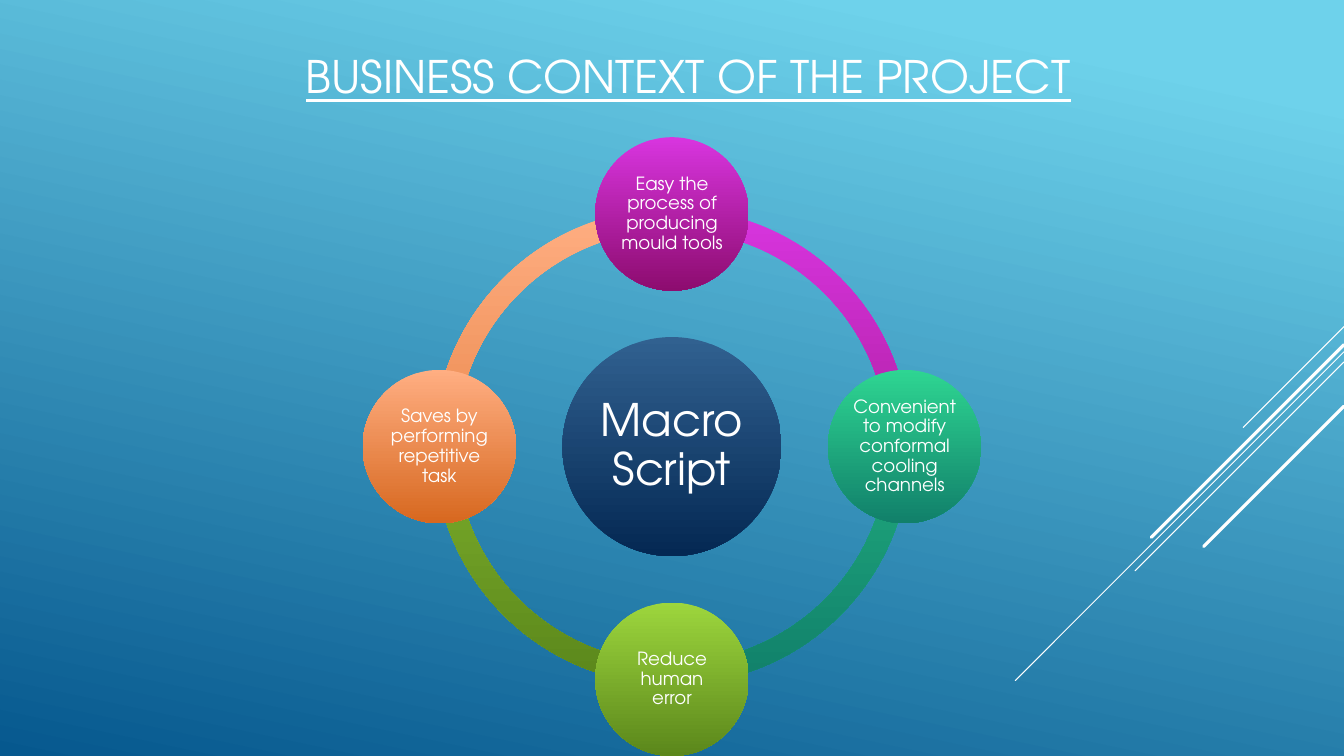
from math import cos, radians, sin

from lxml.etree import SubElement
from pptx import Presentation
from pptx.dml.color import RGBColor
from pptx.enum.shapes import MSO_CONNECTOR, MSO_SHAPE
from pptx.enum.text import MSO_ANCHOR, MSO_AUTO_SIZE, PP_ALIGN
from pptx.oxml.ns import qn
from pptx.util import Pt

FONT = "TeX Gyre Adventor"
WHITE = RGBColor(0xFF, 0xFF, 0xFF)
SKY = (RGBColor(0x6E, 0xD2, 0xEB), RGBColor(0x06, 0x58, 0x8E))
NAVY = (RGBColor(0x31, 0x61, 0x90), RGBColor(0x04, 0x28, 0x53))
PINK = (RGBColor(0xD8, 0x35, 0xDF), RGBColor(0x8D, 0x0C, 0x6F))
GREEN = (RGBColor(0x2E, 0xD5, 0x92), RGBColor(0x11, 0x80, 0x6A))
LIME = (RGBColor(0x9D, 0xD6, 0x3D), RGBColor(0x5B, 0x87, 0x1B))
PEACH = (RGBColor(0xFF, 0xAE, 0x82), RGBColor(0xD7, 0x68, 0x1F))

WIDE, HIGH = 960, 540

# Clockwise from the top
NODES = [
    ("Easy the process of producing mould tools", PINK),
    ("Convenient to modify conformal cooling channels", GREEN),
    ("Reduce human error", LIME),
    ("Saves by performing repetitive task", PEACH),
]
# Start height at the right edge, run to the left, line width
RAYS = [
    (233.3, 72, 0.75),
    (251.3, 234.8, 0.75),
    (258.5, 149.2, 0.75),
    (246.2, 137.6, 2.25),
    (290.2, 100.2, 2.25),
]


def blend(fill, pair, angle=270, start=0):
    fill.gradient()
    fill.gradient_angle = angle
    for stop, tint, place in zip(fill.gradient_stops, pair, (start, 1)):
        stop.color.rgb = tint
        stop.position = place


def style(frame, text, size, line=False):
    frame.text = text
    frame.word_wrap = True
    frame.auto_size = MSO_AUTO_SIZE.NONE
    frame.vertical_anchor = MSO_ANCHOR.MIDDLE
    para = frame.paragraphs[0]
    para.alignment = PP_ALIGN.CENTER
    font = para.runs[0].font
    font.name, font.size, font.underline = FONT, Pt(size), line
    font.color.rgb = WHITE


def round_shape(slide, kind, mid_x, mid_y, size, pair):
    shape = slide.shapes.add_shape(
        kind, Pt(mid_x - size / 2), Pt(mid_y - size / 2), Pt(size), Pt(size))
    shape.shadow.inherit = False
    shape.line.fill.background()
    blend(shape.fill, pair)
    return shape


def add_disc(slide, mid_x, mid_y, size, pair, text, points):
    disc = round_shape(slide, MSO_SHAPE.OVAL, mid_x, mid_y, size, pair)
    frame = disc.text_frame
    style(frame, text, points)
    frame.paragraphs[0].line_spacing = 0.9
    frame.margin_left = frame.margin_right = Pt(points / 10)
    frame.margin_top = frame.margin_bottom = Pt(points / 10)


def add_rays(slide, right):
    for top, run, width in RAYS:
        ray = slide.shapes.add_connector(
            MSO_CONNECTOR.STRAIGHT, Pt(right), Pt(top), Pt(right - run), Pt(top + run))
        ray.line.color.rgb = WHITE
        ray.line.width = Pt(width)
        ray.get_or_add_ln().set("cap", "rnd")
        SubElement(ray._element.spPr, qn("a:effectLst"))


def add_title(slide, left, top, width, height):
    title = slide.shapes.title
    title.left, title.top = Pt(left), Pt(top)
    title.width, title.height = Pt(width), Pt(height)
    style(title.text_frame, "BUSINESS CONTEXT OF THE PROJECT", 32, line=True)


def add_wheel(slide, left, top, size):
    mid_x, mid_y = left + size / 2, top + size / 2
    disc = size * 0.248
    reach = (size - disc) / 2

    # Ring: one quarter arc after each node; 54 units make 90 degrees
    for i, (_, pair) in reversed(list(enumerate(NODES))):
        arc = round_shape(slide, MSO_SHAPE.BLOCK_ARC, mid_x, mid_y, size * 0.77, pair)
        arc.adjustments[0] = (162 + 54 * i) % 216
        arc.adjustments[1] = 54 * i
        arc.adjustments[2] = 0.046

    # Hub and nodes
    add_disc(slide, mid_x, mid_y, size * 0.354, NAVY, "Macro Script", 32)
    for i, (text, pair) in enumerate(NODES):
        turn = radians(90 * i - 90)
        add_disc(slide, mid_x + reach * cos(turn), mid_y + reach * sin(turn),
                 disc, pair, text, 13)


def main():
    deck = Presentation()
    deck.slide_width, deck.slide_height = Pt(WIDE), Pt(HIGH)
    slide = deck.slides.add_slide(deck.slide_layouts[5])
    blend(slide.background.fill, SKY, angle=258, start=0.1)
    add_rays(slide, WIDE)
    add_title(slide, 23.5, 1.5, 936.5, 104.5)
    add_wheel(slide, 259, 98, 442)
    deck.save("out.pptx")


if __name__ == "__main__":
    main()
